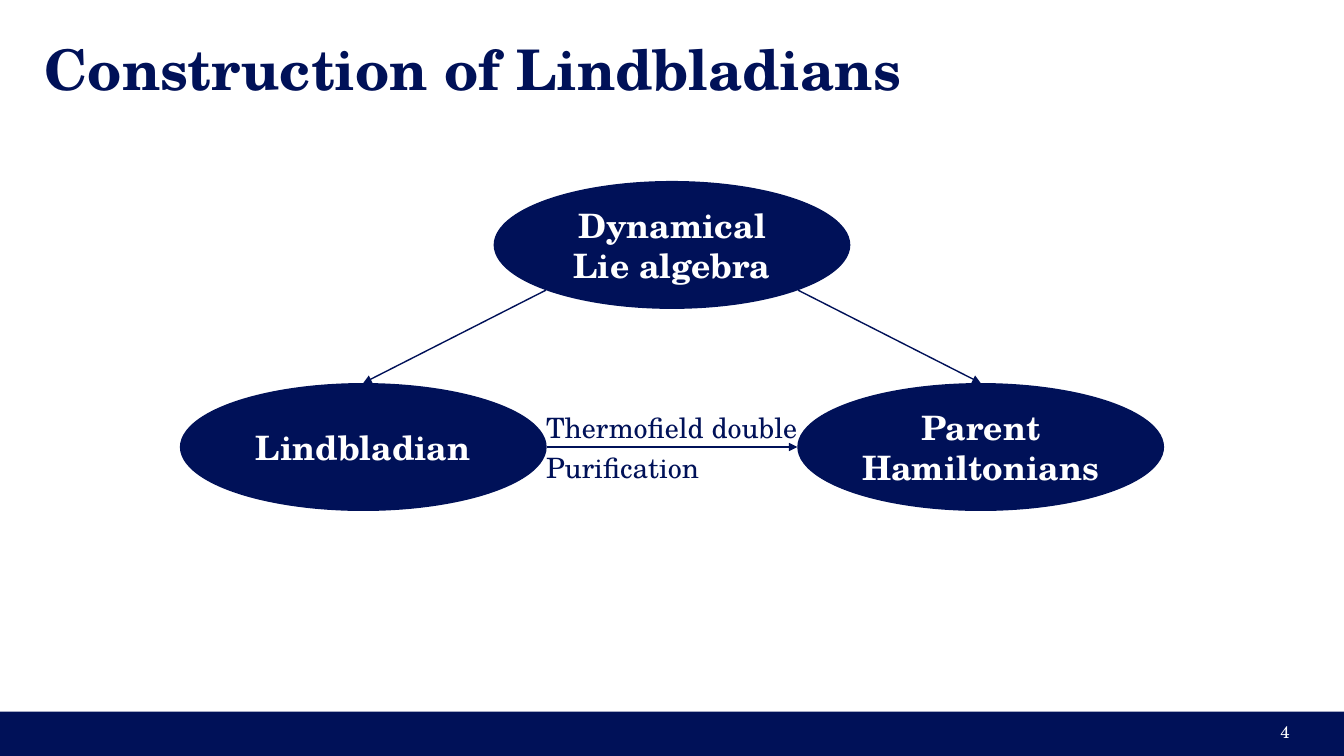
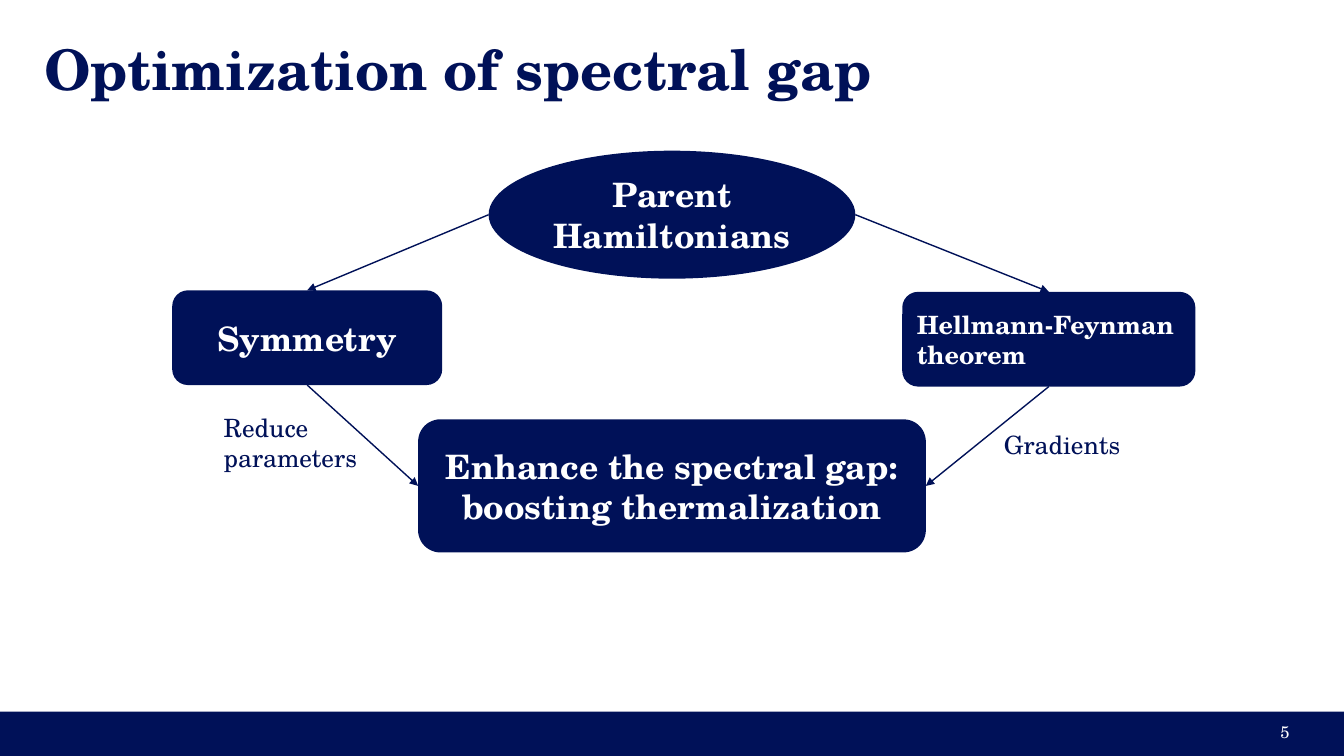
from dataclasses import dataclass

from lxml import etree
from pptx import Presentation
from pptx.dml.color import RGBColor
from pptx.enum.shapes import MSO_CONNECTOR, MSO_SHAPE
from pptx.enum.text import MSO_ANCHOR, PP_ALIGN
from pptx.oxml.ns import qn
from pptx.util import Inches, Pt

RECT, ROUND, ELLIPSE = MSO_SHAPE.RECTANGLE, MSO_SHAPE.ROUNDED_RECTANGLE, MSO_SHAPE.OVAL
STRAIGHT = MSO_CONNECTOR.STRAIGHT
TOP, MIDDLE = MSO_ANCHOR.TOP, MSO_ANCHOR.MIDDLE
LEFT, CENTER, RIGHT = PP_ALIGN.LEFT, PP_ALIGN.CENTER, PP_ALIGN.RIGHT

# The grid has 100 columns and 100 rows
WIDTH, HEIGHT = Inches(13.34), Inches(7.5)
COLUMN, ROW = WIDTH / 100, HEIGHT / 100
BAND_TOP = 94.13

COLORS = {"navy": "001158", "white": "FFFFFF"}
FONT = "TeX Gyre Schola"

# Places on a node where arrows attach, as shares of its half width and height
DIAGONAL = 0.5 ** 0.5
SIDES = {
    "top": (0, -1), "bottom": (0, 1), "left": (-1, 0), "right": (1, 0),
    "lower left": (-DIAGONAL, DIAGONAL), "lower right": (DIAGONAL, DIAGONAL),
}


@dataclass(frozen=True)
class Box:
    """Left, top, width and height in columns and rows."""
    left: float
    top: float
    width: float
    height: float

    def emu(self) -> tuple[int, ...]:
        units = (COLUMN, ROW, COLUMN, ROW)
        sizes = (self.left, self.top, self.width, self.height)
        return tuple(round(size * unit) for size, unit in zip(sizes, units))


@dataclass(frozen=True)
class Node:
    """A filled shape given by its centre and size."""
    text: str
    shape: MSO_SHAPE
    x: float
    y: float
    width: float = 27.29
    height: float = 16.93
    size: int = 24
    align: PP_ALIGN = CENTER

    def box(self) -> Box:
        return Box(self.x - self.width / 2, self.y - self.height / 2, self.width, self.height)

    def point(self, side: str) -> tuple[int, int]:
        across, down = SIDES[side]
        return (round((self.x + across * self.width / 2) * COLUMN),
                round((self.y + down * self.height / 2) * ROW))


@dataclass(frozen=True)
class Arrow:
    start: str
    start_side: str
    end: str
    end_side: str


@dataclass(frozen=True)
class Label:
    lines: tuple[str, ...]
    box: Box
    size: int
    gap: int = 0


@dataclass(frozen=True)
class Diagram:
    number: int
    title: str
    nodes: dict[str, Node]
    arrows: tuple[Arrow, ...]
    labels: tuple[Label, ...]


def rgb(color: str) -> RGBColor:
    return RGBColor.from_string(COLORS[color])


def write(shape, lines: tuple[str, ...], size: int, color: str, bold: bool = False,
          align: PP_ALIGN = LEFT, anchor: MSO_ANCHOR = MIDDLE, wrap: bool = True,
          inset: float | None = None, gap: int = 0) -> None:
    frame = shape.text_frame
    frame_format = {"word_wrap": wrap, "vertical_anchor": anchor}
    if inset is not None:
        for edge in ("left", "top", "right", "bottom"):
            frame_format[f"margin_{edge}"] = Inches(inset)
    for name, value in frame_format.items():
        setattr(frame, name, value)
    for index, line in enumerate(lines):
        paragraph = frame.paragraphs[0] if index == 0 else frame.add_paragraph()
        paragraph.alignment = align
        if index and gap:
            paragraph.space_before = Pt(gap)
        run = paragraph.add_run()
        run.text = line
        for name, value in {"name": FONT, "size": Pt(size), "bold": bold}.items():
            setattr(run.font, name, value)
        run.font.color.rgb = rgb(color)


def add_filled(slide, kind: MSO_SHAPE, box: Box):
    shape = slide.shapes.add_shape(kind, *box.emu())
    shape.shadow.inherit = False
    shape.fill.solid()
    shape.fill.fore_color.rgb = rgb("navy")
    shape.line.fill.background()
    return shape


def add_text(slide, box: Box, lines: tuple[str, ...], size: int, color: str, **text_format) -> None:
    write(slide.shapes.add_textbox(*box.emu()), lines, size, color, **text_format)


def add_arrow(slide, start: tuple[int, int], end: tuple[int, int]) -> None:
    arrow = slide.shapes.add_connector(STRAIGHT, *start, *end)
    arrow.line.color.rgb = rgb("navy")
    arrow.line.width = Pt(1)
    etree.SubElement(arrow.line._get_or_add_ln(), qn("a:tailEnd"), type="triangle")
    etree.SubElement(arrow._element.spPr, qn("a:effectLst"))


def add_frame(slide, title: str, number: int) -> None:
    """Footer band, slide number and title, the same on every slide."""
    add_filled(slide, RECT, Box(0, BAND_TOP, 100, 100 - BAND_TOP))
    add_text(slide, Box(74.21, BAND_TOP, 22.49, 5.33), (str(number),), 12, "white", align=RIGHT)
    add_text(slide, Box(3.3, 5.87, 93.4, 6.27), (title,), 40, "navy", bold=True, inset=0)


def draw(slide, diagram: Diagram) -> None:
    add_frame(slide, diagram.title, diagram.number)
    for node in diagram.nodes.values():
        write(add_filled(slide, node.shape, node.box()), (node.text,), node.size, "white",
              bold=True, align=node.align)
    for label in diagram.labels:
        add_text(slide, label.box, label.lines, label.size, "navy",
                 anchor=TOP, wrap=False, inset=0.12, gap=label.gap)
    for arrow in diagram.arrows:
        add_arrow(slide, diagram.nodes[arrow.start].point(arrow.start_side),
                  diagram.nodes[arrow.end].point(arrow.end_side))


DIAGRAMS = (
    Diagram(
        4, "Construction of Lindbladians",
        nodes={
            "algebra": Node("Dynamical Lie algebra", ELLIPSE, 50, 32.4, width=26.54),
            "parent": Node("Parent Hamiltonians", ELLIPSE, 72.97, 59.13),
            "lindbladian": Node("Lindbladian", ELLIPSE, 27.03, 59.13),
        },
        arrows=(
            Arrow("algebra", "lower left", "lindbladian", "top"),
            Arrow("algebra", "lower right", "parent", "top"),
            Arrow("lindbladian", "right", "parent", "left"),
        ),
        labels=(
            Label(("Thermofield double", "Purification"),
                  Box(39.73, 52.67, 21.06, 14.13), 20, gap=5),
        ),
    ),
    Diagram(
        5, "Optimization of spectral gap",
        nodes={
            "theorem": Node("Hellmann-Feynman theorem", ROUND, 78.04, 44.87, 21.81, 12.53, 18, LEFT),
            "symmetry": Node("Symmetry", ROUND, 22.86, 44.67, 20.09, 12.53),
            "gap": Node("Enhance the spectral gap: boosting thermalization",
                        ROUND, 50, 64.27, 37.78, 17.6),
            "parent": Node("Parent Hamiltonians", ELLIPSE, 50, 28.4),
        },
        arrows=(
            Arrow("symmetry", "bottom", "gap", "left"),
            Arrow("theorem", "bottom", "gap", "right"),
            Arrow("parent", "left", "symmetry", "top"),
            Arrow("parent", "right", "theorem", "top"),
        ),
        labels=(
            Label(("Gradients",), Box(73.8, 55.2, 10.64, 8.4), 18),
            Label(("Reduce", "parameters"), Box(15.74, 52.93, 12.5, 11.5), 18),
        ),
    ),
)


def main() -> None:
    deck = Presentation()
    for name, value in {"slide_width": WIDTH, "slide_height": HEIGHT}.items():
        setattr(deck, name, value)
    blank = deck.slide_layouts[6]
    for diagram in DIAGRAMS:
        draw(deck.slides.add_slide(blank), diagram)
    deck.save("out.pptx")


if __name__ == "__main__":
    main()
